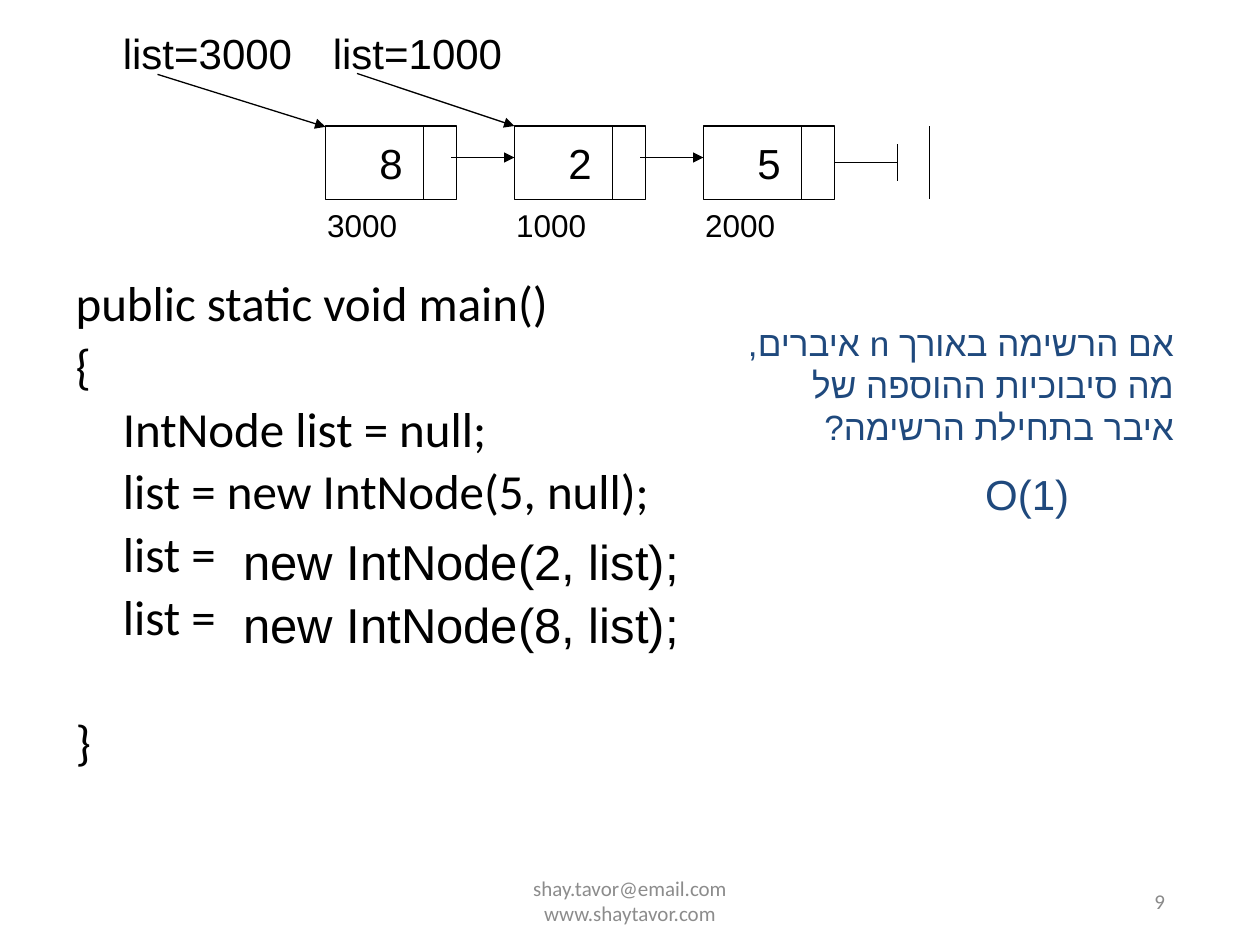
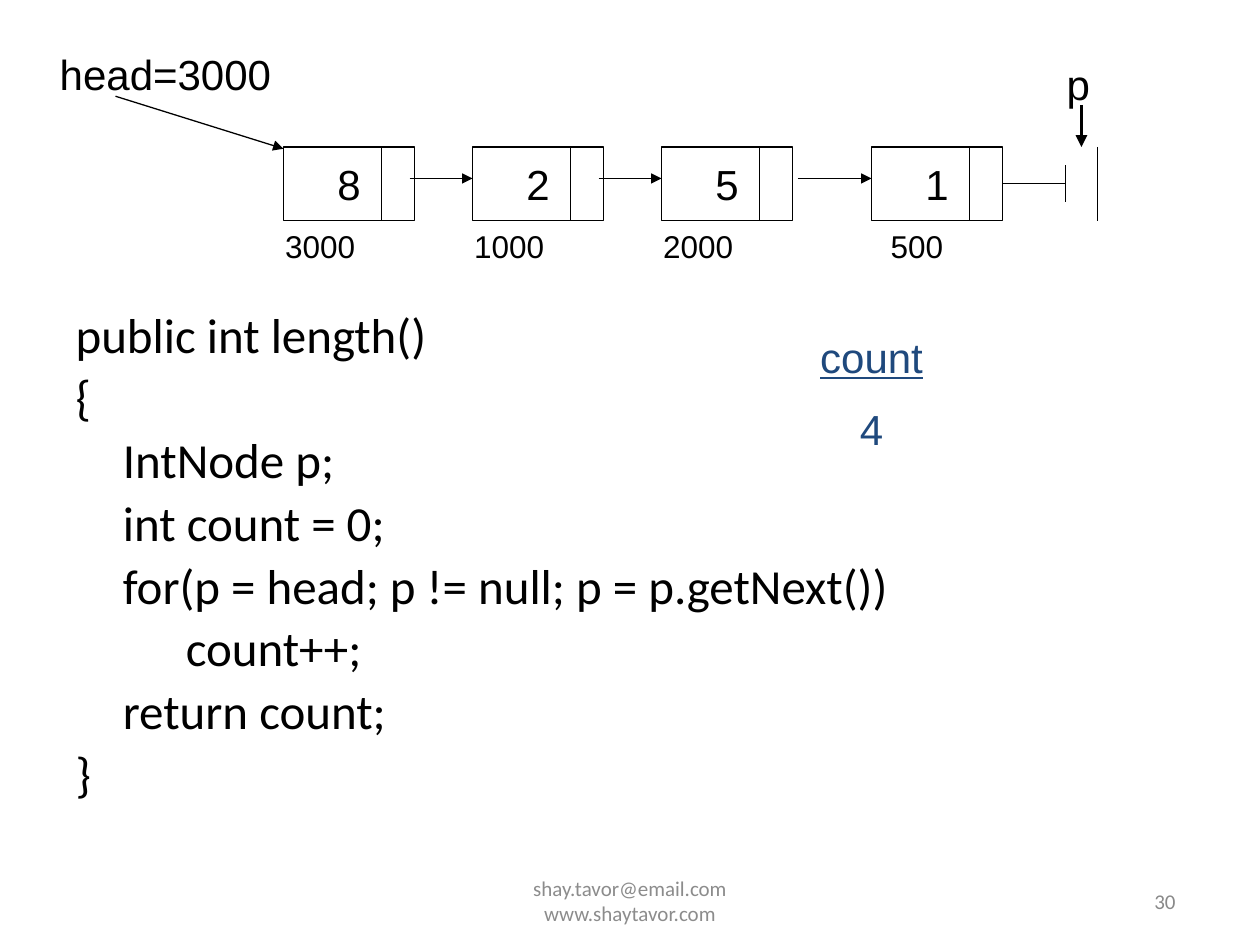
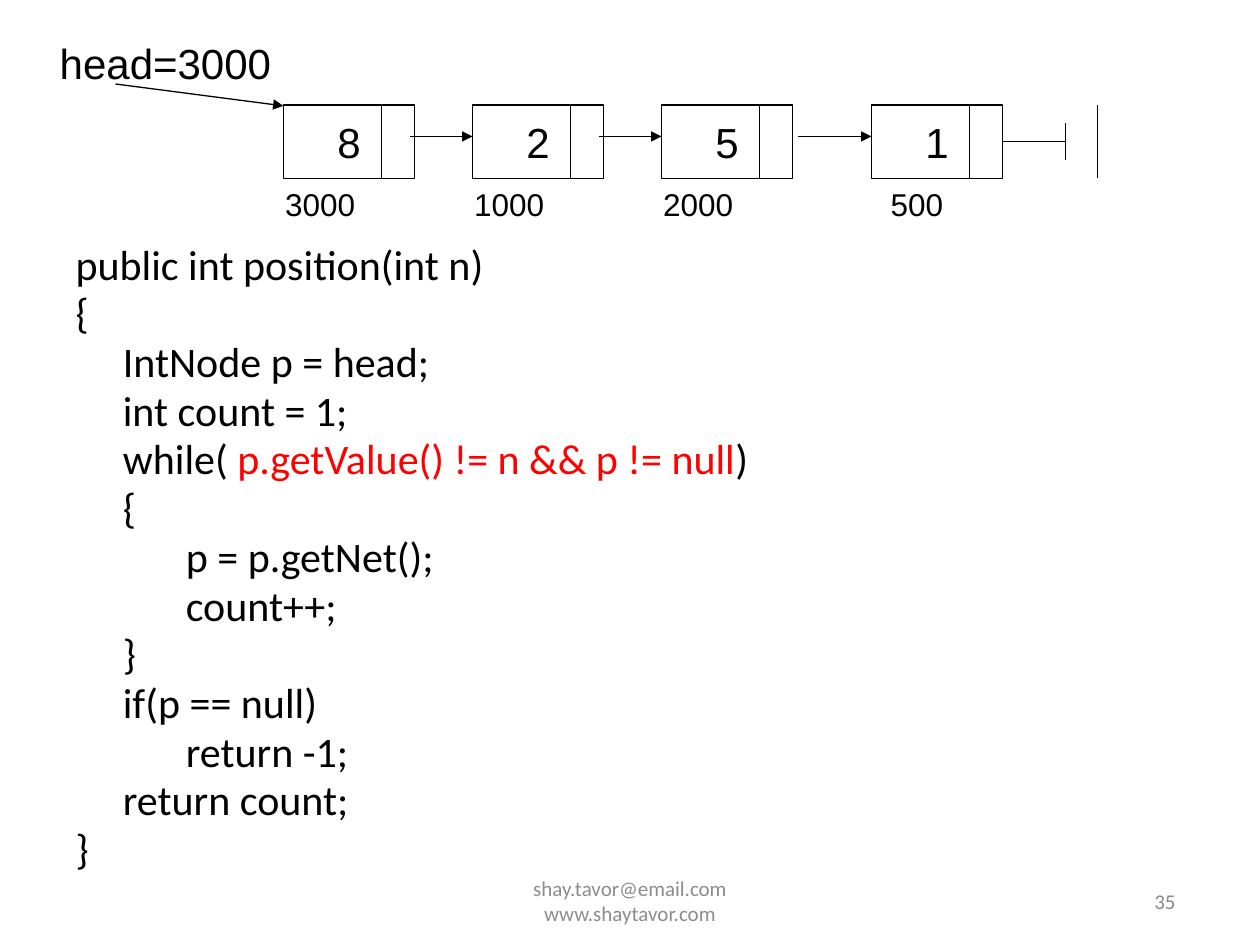
"""Builds three slides on linked lists: a node diagram above a code listing."""
from lxml import etree
from pptx import Presentation
from pptx.dml.color import RGBColor
from pptx.enum.shapes import MSO_CONNECTOR, MSO_SHAPE
from pptx.enum.text import MSO_ANCHOR, MSO_AUTO_SIZE, PP_ALIGN
from pptx.oxml.ns import qn
from pptx.util import Pt

STRAIGHT, RECT = MSO_CONNECTOR.STRAIGHT, MSO_SHAPE.RECTANGLE
TOP, MIDDLE = MSO_ANCHOR.TOP, MSO_ANCHOR.MIDDLE
LEFT, CENTER, RIGHT = PP_ALIGN.LEFT, PP_ALIGN.CENTER, PP_ALIGN.RIGHT
NO_FIT, GROW = MSO_AUTO_SIZE.NONE, MSO_AUTO_SIZE.SHAPE_TO_FIT_TEXT
BLACK, WHITE = RGBColor(0, 0, 0), RGBColor(255, 255, 255)
BLUE, RED = RGBColor(0x1F, 0x49, 0x7D), RGBColor(255, 0, 0)
FOOTER_GRAY, NUMBER_GRAY = RGBColor(0x8C, 0x8C, 0x8C), RGBColor(0x89, 0x89, 0x89)

FOOTER = "shay.tavor@email.com\vwww.shaytavor.com"
NODE_W, NODE_H, DIVIDER, PITCH = 75, 42, 56, 108
FOUR_NODES = [("8", "3000", 162), ("2", "1000", 270), ("5", "2000", 378), ("1", "500", 498)]
CODE_FONT = {"name": "Calibri", "size": Pt(28)}

SLIDES = [
    {
        "number": "9", "top": 72,
        "nodes": [("8", "3000", 186), ("2", "1000", 294), ("5", "2000", 402)],
        "body": (36, 156, 396, 318), "size": 28, "spacing": 0.9, "gap_before_last": 41,
        "code": ["public static void main()", "{", "\tIntNode list = null;",
                 "\tlist = new IntNode(5, null);", "\tlist = ", "\tlist = ", "}"],
        "texts": [
            (["list=3000"], (54, 12, 120, 36), {}),
            (["list=1000"], (174, 12, 120, 36), {}),
            (["new IntNode(2, list);"], (132, 300, 300, 41), {"size": 28, "align": LEFT}),
            (["new IntNode(8, list);"], (132, 336, 300, 41), {"size": 28, "align": LEFT}),
            (["אם הרשימה באורך n איברים, מה סיבוכיות ההוספה של איבר בתחילת הרשימה?"],
             (420, 180, 258, 79), {"size": 20, "color": BLUE, "rtl": True}),
            (["O(1)"], (528, 264, 90, 36), {"color": BLUE}),
        ],
        "arrows": [((90, 42.5), (186, 72.5), 0.75), ((204, 42), (294, 72), 0.75)],
    },
    {
        "number": "30", "top": 84, "nodes": FOUR_NODES,
        "body": (36, 174, 648, 308), "size": 28, "spacing": 0.9,
        "code": ["public int length()", "{", "\tIntNode p;", "\tint count = 0;",
                 "\tfor(p = head; p != null; p = p.getNext())", "\t\tcount++;",
                 "\treturn count;", "}"],
        "texts": [
            (["head=3000"], (12, 24, 150, 36), {}),
            (["p"], (588, 30, 42, 36), {}),
            (["count", "4"], (450, 186, 96, 80),
             {"color": BLUE, "align": CENTER, "underline_first": True}),
        ],
        "arrows": [((66, 55), (162, 85), 0.75), ((618, 60), (618, 84), 2.25)],
    },
    {
        "number": "35", "top": 60, "nodes": FOUR_NODES,
        "body": (36, 138, 648, 333), "size": 24, "spacing": 0.8,
        "code": ["public int position(int n)", "{", "\tIntNode p = head;", "\tint count = 1;",
                 [("\twhile( ", BLACK), ("p.getValue() != n && p != null", RED), (")", BLACK)],
                 "\t{", "\t\tp = p.getNet();", "\t\tcount++;", "\t}", "\tif(p == null)",
                 "\t\treturn -1;", "\treturn count;", "}"],
        "texts": [(["head=3000"], (12, 18, 150, 36), {})],
        "arrows": [((66, 48), (162, 60.5), 0.75)],
    },
]


def set_attrs(obj, **values):
    for name, value in values.items():
        setattr(obj, name, value)


def style(r, size, color, font="Arial"):
    set_attrs(r.font, name=font, size=Pt(size))
    r.font.color.rgb = color


def space_before_percent(p, percent):
    p.space_before = Pt(0)
    spacing = p._p.pPr.find(qn("a:spcBef"))
    spacing.remove(spacing[0])
    etree.SubElement(spacing, qn("a:spcPct"), val=str(percent * 1000))


def make_rtl(p):
    p._p.get_or_add_pPr().set("rtl", "1")
    for r in p.runs:
        etree.SubElement(r._r.get_or_add_rPr(), qn("a:cs"), typeface="Arial")


def add_text(s, lines, box, size=24, color=BLACK, align=RIGHT, font="Arial",
             anchor=TOP, fit=GROW, before=50, rtl=False, underline_first=False):
    tf = s.shapes.add_textbox(*map(Pt, box)).text_frame
    set_attrs(tf, word_wrap=True, auto_size=fit, vertical_anchor=anchor)
    for i, line in enumerate(lines):
        p = tf.paragraphs[0] if i == 0 else tf.add_paragraph()
        p.text = line
        p.alignment = align
        if before:
            space_before_percent(p, before)
        for r in p.runs:
            style(r, size, color, font)
            if underline_first and i == 0:
                r.font.underline = True
        if rtl:
            make_rtl(p)


def add_line(shapes, start, end, width=0.75, arrow=False):
    line = shapes.add_connector(STRAIGHT, *map(Pt, (*start, *end)))
    line.line.width = Pt(width)
    line.line.color.rgb = BLACK
    if arrow:
        etree.SubElement(line.line._get_or_add_ln(), qn("a:tailEnd"), type="triangle")
    etree.SubElement(line._element.spPr, qn("a:effectLst"))


def add_node(s, value, x, y):
    group = s.shapes.add_group_shape()
    sp = group.shapes.add_shape(RECT, *map(Pt, (x, y, NODE_W, NODE_H)))
    sp.shadow.inherit = False
    sp.fill.solid()
    sp.fill.fore_color.rgb = WHITE
    sp.line.color.rgb = BLACK
    sp.line.width = Pt(0.75)
    sp.text_frame.vertical_anchor = MIDDLE
    p = sp.text_frame.paragraphs[0]
    p.text = value
    p.alignment = CENTER
    style(p.runs[0], 24, BLACK, "Times New Roman")
    make_rtl(p)
    add_line(group.shapes, (x + DIVIDER, y), (x + DIVIDER, y + NODE_H))


def add_null(s, x, y):
    group = s.shapes.add_group_shape()
    mid, short, tall = y + NODE_H / 2, x + 36, x + 54
    add_line(group.shapes, (x, mid), (short, mid))
    add_line(group.shapes, (tall, y), (tall, y + NODE_H))
    add_line(group.shapes, (short, mid - 10.5), (short, mid + 10.5))


def add_list(s, nodes, y):
    for value, address, x in nodes:
        add_node(s, value, x, y)
        add_text(s, [address], (x - 12, y + NODE_H, 60, 29), size=18)
    for (_, _, x), (_, _, following) in zip(nodes, nodes[1:]):
        start = x + NODE_W + (-3 if following - x == PITCH else 3)
        add_line(s.shapes, (start, y + 18), (following, y + 18), arrow=True)
    add_null(s, nodes[-1][2] + NODE_W, y)


def add_code(s, slide):
    body = s.placeholders[1]
    set_attrs(body, **dict(zip(("left", "top", "width", "height"), map(Pt, slide["body"]))))
    tf = body.text_frame
    set_attrs(tf, word_wrap=True, auto_size=NO_FIT, vertical_anchor=TOP)
    for i, line in enumerate(slide["code"]):
        p = tf.paragraphs[0] if i == 0 else tf.add_paragraph()
        p.line_spacing = slide["spacing"]
        space_before_percent(p, 20)
        pPr = p._p.get_or_add_pPr()
        set_attrs(p, alignment=LEFT)
        pPr.set("marL", str(Pt(27)))
        pPr.set("indent", str(Pt(-27)))
        etree.SubElement(pPr, qn("a:buNone"))
        for text, color in [(line, BLACK)] if isinstance(line, str) else line:
            r = p.add_run()
            r.text = text
            style(r, slide["size"], color, CODE_FONT["name"])
    if "gap_before_last" in slide:
        p.space_before = Pt(slide["gap_before_last"])


def add_footer(s, number):
    shared = {"size": 12, "font": "Calibri", "anchor": MIDDLE, "fit": NO_FIT, "before": 0}
    add_text(s, [FOOTER], (246, 500.5, 228, 28.75), color=FOOTER_GRAY, align=CENTER, **shared)
    add_text(s, [number], (652.5, 500.5, 31.5, 28.75), color=NUMBER_GRAY, align=LEFT, **shared)


prs = Presentation()
prs.slide_width, prs.slide_height = Pt(720), Pt(540)
for slide in SLIDES:
    s = prs.slides.add_slide(prs.slide_layouts[1])
    title = s.shapes.title._element
    title.getparent().remove(title)
    add_code(s, slide)
    add_footer(s, slide["number"])
    add_list(s, slide["nodes"], slide["top"])
    for lines, box, options in slide["texts"]:
        add_text(s, lines, box, **options)
    for start, end, width in slide["arrows"]:
        add_line(s.shapes, start, end, width, arrow=True)
prs.save("out.pptx")
